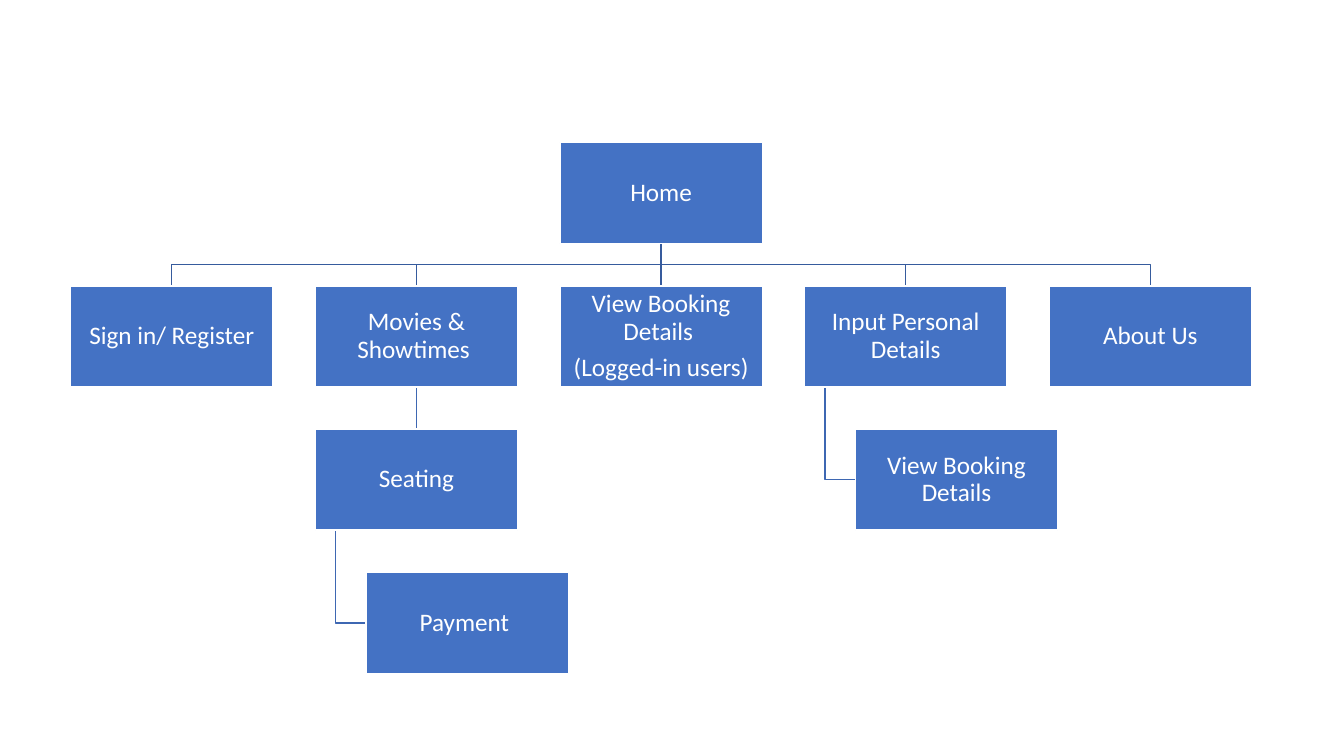
from pptx import Presentation
from pptx.dml.color import RGBColor
from pptx.enum.shapes import MSO_CONNECTOR, MSO_SHAPE
from pptx.enum.text import MSO_ANCHOR, PP_ALIGN
from pptx.oxml.xmlchemy import OxmlElement
from pptx.util import Pt

RECTANGLE = MSO_SHAPE.RECTANGLE
STRAIGHT = MSO_CONNECTOR.STRAIGHT
MIDDLE = MSO_ANCHOR.MIDDLE
CENTER = PP_ALIGN.CENTER

# Grid of the site map, in points
LEFT, TOP = 50.5, 101.75
COLUMN_STEP, ROW_STEP = 174.75, 102.4
BOX_WIDTH, BOX_HEIGHT = 144.5, 72.2
INDENT = 36.25
TRUNK_OFFSET = 14.5


def color(hex_string):
    return RGBColor.from_string(hex_string)


class SiteMap:
    font = "Calibri"
    size = 18
    box_fill = "4472C4"
    white = "FFFFFF"
    main_line = "365B9D"
    sub_line = "3E67B2"

    def __init__(self, page):
        self.page = page

    def position(self, column, row, indent=0):
        return LEFT + column * COLUMN_STEP + indent, TOP + row * ROW_STEP

    def box(self, column, row, paragraphs, indent=0):
        left, top = self.position(column, row, indent)
        box = self.page.shapes.add_shape(
            RECTANGLE, Pt(left), Pt(top), Pt(BOX_WIDTH), Pt(BOX_HEIGHT))
        box.shadow.inherit = False
        box.fill.solid()
        box.fill.fore_color.rgb = color(self.box_fill)
        box.line.color.rgb = color(self.white)
        box.line.width = Pt(1)
        frame = box.text_frame
        frame.word_wrap = True
        frame.vertical_anchor = MIDDLE
        frame.margin_left = frame.margin_right = Pt(0.9)
        frame.margin_top = frame.margin_bottom = Pt(0.9)
        for index, text in enumerate(paragraphs):
            para = frame.add_paragraph() if index else frame.paragraphs[0]
            para.alignment = CENTER
            para.line_spacing = 0.9
            para.space_after = Pt(6.3)
            span = para.add_run()
            span.text = text
            span.font.name = self.font
            span.font.size = Pt(self.size)
            span.font.color.rgb = color(self.white)

    def straight(self, start, end, line_color):
        line = self.page.shapes.add_connector(
            STRAIGHT, Pt(start[0]), Pt(start[1]), Pt(end[0]), Pt(end[1]))
        line.line.color.rgb = color(line_color)
        line.line.width = Pt(1)
        line._element.spPr.append(OxmlElement("a:effectLst"))

    def bent(self, points, line_color):
        corners = [(Pt(x), Pt(y)) for x, y in points]
        builder = self.page.shapes.build_freeform(*corners[0])
        builder.add_line_segments(corners[1:], close=False)
        line = builder.convert_to_shape()
        line.shadow.inherit = False
        line.fill.background()
        line.line.color.rgb = color(line_color)
        line.line.width = Pt(1)

    def branch(self, home_column, column):
        """Link the home page to a page in the row below."""
        start_x, home_top = self.position(home_column, 0, BOX_WIDTH / 2)
        end_x, end_y = self.position(column, 1, BOX_WIDTH / 2)
        start_y = home_top + BOX_HEIGHT
        if column == home_column:
            self.straight((start_x, start_y), (end_x, end_y), self.main_line)
            return
        middle = (start_y + end_y) / 2
        self.bent([(start_x, start_y), (start_x, middle),
                   (end_x, middle), (end_x, end_y)], self.main_line)

    def below(self, column, row):
        """Link a page to the one straight below it."""
        x, top = self.position(column, row, BOX_WIDTH / 2)
        self.straight((x, top + BOX_HEIGHT), (x, top + ROW_STEP), self.sub_line)

    def hanging(self, column, row):
        """Link a page to an indented page below it."""
        x, top = self.position(column, row, TRUNK_OFFSET)
        end_x, child_top = self.position(column, row + 1, INDENT)
        end_y = child_top + BOX_HEIGHT / 2
        self.bent([(x, top + BOX_HEIGHT), (x, end_y), (end_x, end_y)],
                  self.sub_line)


def main():
    deck = Presentation()
    deck.slide_width, deck.slide_height = Pt(960), Pt(540)
    site_map = SiteMap(deck.slides.add_slide(deck.slide_layouts[6]))

    # Links
    for column in range(5):
        site_map.branch(2, column)
    site_map.below(1, 1)
    site_map.hanging(1, 2)
    site_map.hanging(3, 1)

    # Home and main pages
    site_map.box(2, 0, ["Home"])
    main_pages = [
        ["Sign in/ Register"],
        ["Movies & Showtimes "],
        ["View Booking Details ", "(Logged-in users)"],
        ["Input Personal Details"],
        ["About Us"],
    ]
    for column, paragraphs in enumerate(main_pages):
        site_map.box(column, 1, paragraphs)

    # Sub-pages
    site_map.box(1, 2, ["Seating"])
    site_map.box(1, 3, ["Payment "], INDENT)
    site_map.box(3, 2, ["View Booking Details"], INDENT)

    deck.save("out.pptx")


if __name__ == "__main__":
    main()
